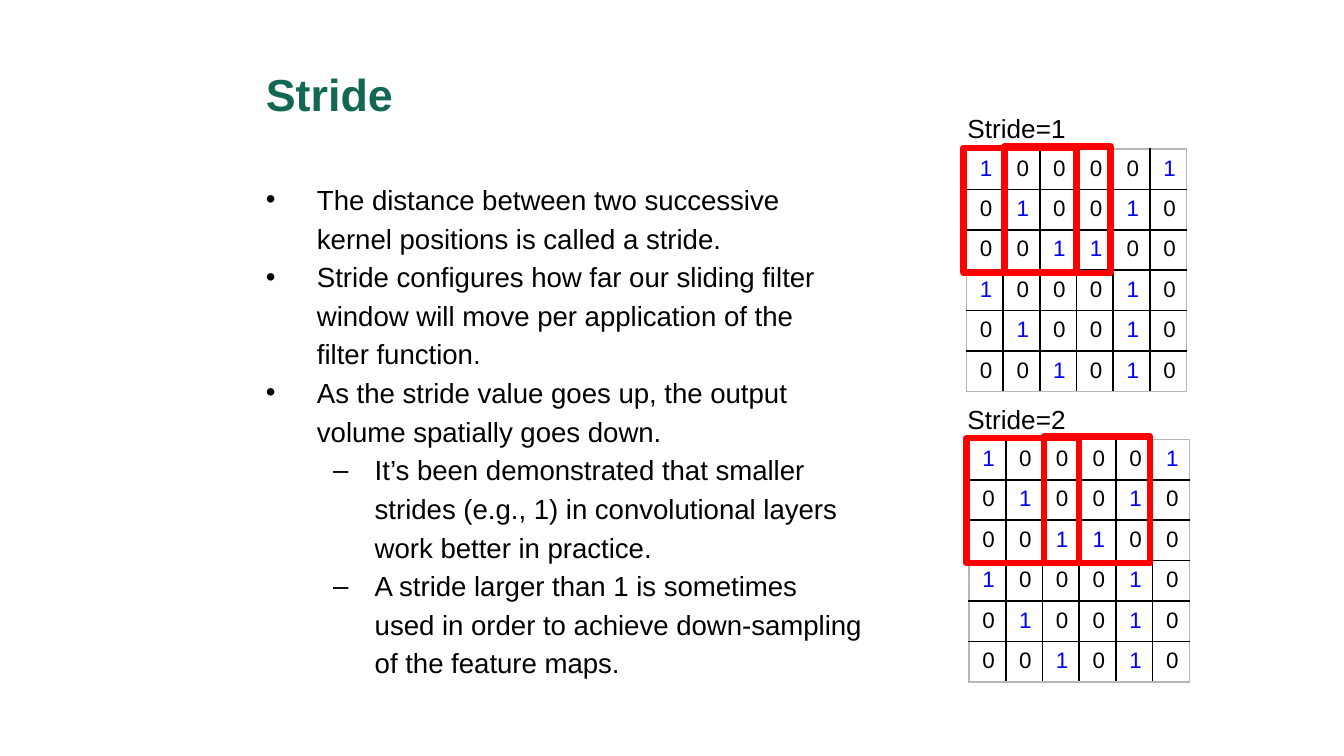
from lxml.etree import SubElement
from pptx import Presentation
from pptx.dml.color import RGBColor
from pptx.enum.shapes import MSO_SHAPE
from pptx.enum.text import MSO_ANCHOR, PP_ALIGN
from pptx.oxml.ns import qn
from pptx.util import Inches, Pt

FONT = "Arial"
COLORS = {"title": "136855", "text": "000000", "one": "0000FF",
          "grid": "000000", "edge": "B8B8B8", "window": "FF0000"}

TITLE = "Stride"
# Bullet level and the lines of each point
POINTS = [
    (0, ["The distance between two successive",
         "kernel positions is called a stride."]),
    (0, ["Stride configures how far our sliding filter",
         "window will move per application of the",
         "filter function."]),
    (0, ["As the stride value goes up, the output",
         "volume spatially goes down."]),
    (1, ["It’s been demonstrated that smaller",
         "strides (e.g., 1) in convolutional layers",
         "work better in practice."]),
    (1, ["A stride larger than 1 is sometimes",
         "used in order to achieve down-sampling",
         "of the feature maps."]),
]
# Bullet sign, text margin and hanging indent for each level
LEVELS = [("•", 0.38, -0.38), ("–", 0.81, -0.31)]

IMAGE = ["100001", "010010", "001100", "100010", "010010", "001010"]
# Stride, left and top of the grid
EXAMPLES = [(1, 7.19, 1.11), (2, 7.21, 3.27)]
GRID_WIDTH, GRID_HEIGHT = 1.64, 1.79
COLUMN = GRID_WIDTH / len(IMAGE[0])
ROW = GRID_HEIGHT / len(IMAGE)


def color(name):
    return RGBColor.from_string(COLORS[name])


def add_span(para, text, size, shade, bold=False):
    span = para.add_run()
    span.text = text
    span.font.name, span.font.size, span.font.bold = FONT, Pt(size), bold
    span.font.color.rgb = color(shade)


def add_box(page, left, top, width, height):
    box = page.shapes.add_textbox(Inches(left), Inches(top), Inches(width), Inches(height))
    box.text_frame.word_wrap = True
    return box.text_frame


def add_points(frame):
    for number, (level, lines) in enumerate(POINTS):
        para = frame.add_paragraph() if number else frame.paragraphs[0]
        para.level = level
        para.line_spacing = Pt(20.7)
        sign, margin, indent = LEVELS[level]
        properties = para._p.get_or_add_pPr()
        properties.set("marL", str(Inches(margin)))
        properties.set("indent", str(Inches(indent)))
        SubElement(properties, qn("a:buFont"), typeface=FONT)
        SubElement(properties, qn("a:buChar"), char=sign)
        for index, line in enumerate(lines):
            if index:
                para.add_line_break()
            add_span(para, line, 14.8, "text")


def set_borders(cell, row, column):
    last_row, last_column = len(IMAGE) - 1, len(IMAGE[0]) - 1
    outer = {"lnL": column == 0, "lnR": column == last_column,
             "lnT": row == 0, "lnB": row == last_row}
    properties = cell._tc.get_or_add_tcPr()
    for index, (side, is_edge) in enumerate(outer.items()):
        line = SubElement(properties, qn("a:" + side), w=str(Pt(1)))
        fill = SubElement(line, qn("a:solidFill"))
        SubElement(fill, qn("a:srgbClr"), val=COLORS["edge" if is_edge else "grid"])
        properties.remove(line)
        properties.insert(index, line)


def add_grid(page, left, top):
    table = page.shapes.add_table(len(IMAGE), len(IMAGE[0]), Inches(left), Inches(top),
                                  Inches(GRID_WIDTH), Inches(GRID_HEIGHT)).table
    table.first_row = table.horz_banding = False
    for column in table.columns:
        column.width = Inches(COLUMN)
    for row, digits in enumerate(IMAGE):
        table.rows[row].height = Inches(ROW)
        for column, digit in enumerate(digits):
            cell = table.cell(row, column)
            cell.fill.background()
            set_borders(cell, row, column)
            para = cell.text_frame.paragraphs[0]
            para.alignment = PP_ALIGN.CENTER
            add_span(para, digit, 12, "one" if digit == "1" else "text")


def add_window(page, left, top, width, height):
    window = page.shapes.add_shape(MSO_SHAPE.RECTANGLE, Inches(left), Inches(top),
                                   Inches(width), Inches(height))
    window.shadow.inherit = False
    window.fill.background()
    window.line.color.rgb = color("window")
    window.line.width = Pt(3.5)


deck = Presentation()
deck.slide_width = Inches(10)
deck.slide_height = Inches(10 * 9 / 16)
page = deck.slides.add_slide(deck.slide_layouts[6])

# Title
title = add_box(page, 1.88, 0.23, 7.62, 0.94)
title.vertical_anchor = MSO_ANCHOR.MIDDLE
add_span(title.paragraphs[0], TITLE, 24, "title", bold=True)

# Explanation
body = add_box(page, 1.88, 1.31, 7.62, 3.71)
body.margin_top = Inches(0.01)
add_points(body)

# Grids, each with the filter window before and after one step
for stride, left, top in EXAMPLES:
    add_grid(page, left, top)
    add_window(page, left - 0.02, top - 0.01, 0.84, 0.93)
    add_window(page, left + stride * COLUMN + 0.01, top - 0.02, 0.79, 0.94)
    label = add_box(page, 7.1, top - 0.32, 1.35, 0.34)
    add_span(label.paragraphs[0], f"Stride={stride}", 14, "text")

deck.save("out.pptx")
